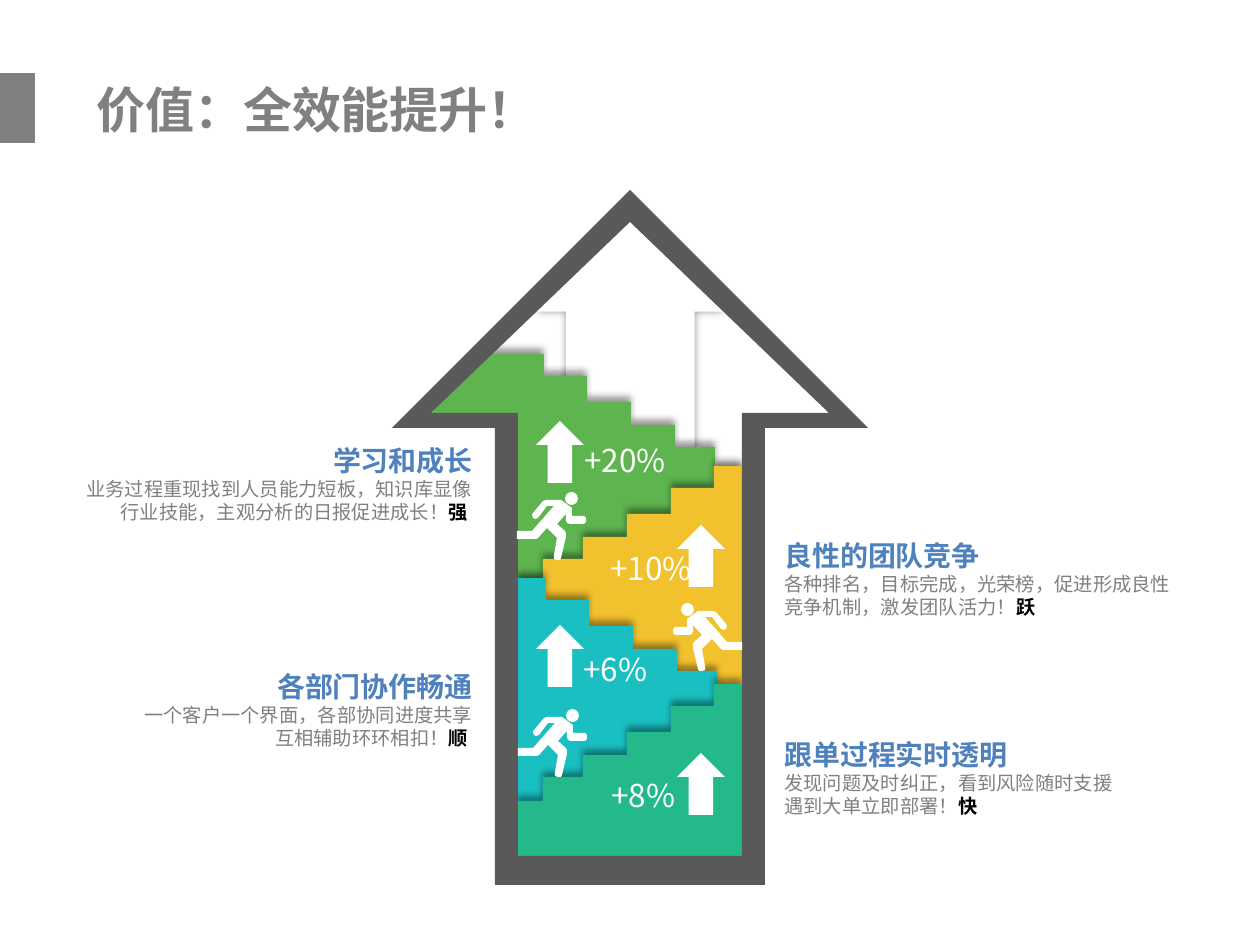
import dataclasses
import typing

import lxml.etree
import pptx
import pptx.dml.color
import pptx.enum.shapes
import pptx.enum.text
import pptx.oxml
import pptx.oxml.ns
import pptx.util

PIXEL = 914400 / 126
SHAPE = pptx.enum.shapes.MSO_SHAPE
ALIGN = pptx.enum.text.PP_ALIGN
ANCHOR = pptx.enum.text.MSO_ANCHOR
Points = list[tuple[int, int]]


@dataclasses.dataclass(frozen=True)
class Theme:
    """Colours, font and type sizes of the slide."""
    font: str = "Noto Sans CJK SC"
    grey: str = "808080"
    frame: str = "595959"
    white: str = "FFFFFF"
    black: str = "000000"
    heading: str = "4F81BD"
    green: str = "5EB44F"
    yellow: str = "F2C12E"
    cyan: str = "1ABFC1"
    teal: str = "23B98B"
    title_size: int = 28
    heading_size: int = 16
    body_size: int = 11
    figure_size: int = 18


THEME = Theme()


class Stair(typing.NamedTuple):
    """A coloured flight of steps."""
    left: int
    top: int
    bottom: int
    colour: str
    rising: bool
    wing: Points


class Runner(typing.NamedTuple):
    """A running figure, placed by the top left of its body."""
    left: int
    top: int
    mirrored: bool


class Gain(typing.NamedTuple):
    """A small up arrow and its percentage."""
    arrow_left: int
    arrow_top: int
    text_left: int
    text_top: int
    text_width: int
    text: str


class Callout(typing.NamedTuple):
    """A heading with body lines and a closing keyword."""
    left: int
    top: int
    align: ALIGN
    heading: str
    lines: list[str]
    keyword: str


STEP_EDGES = [28, 71, 115, 159, 199, 224]
STEP_DROPS = [0, 22, 48, 71, 93, 117]
STAIR_WIDTH = 224
STAIRS = [
    Stair(516, 354, 585, THEME.green, False, [(516, 413), (431, 413), (493, 354)]),
    Stair(518, 466, 697, THEME.yellow, True, []),
    Stair(518, 578, 809, THEME.cyan, False, []),
    Stair(518, 684, 856, THEME.teal, True, []),
]

CENTRE = 630
INNER_HALF = [(630, 222), (431, 413), (518, 413), (518, 856)]
OUTER_HALF = [(630, 190), (392, 428), (495, 428), (495, 885)]

RUNNER_WIDTH = 69
HEAD_LEFT, HEAD_TOP, HEAD_SIZE = 48, -8, 13
RUNNER_BODY = [
    (0, 31), (15, 31), (37, 6), (30, 6), (21, 18), (18, 19), (16, 18), (15, 15), (16, 13),
    (26, 1), (29, 0), (44, 0), (55, 8), (55, 16), (67, 16), (69, 18), (69, 22), (67, 24),
    (53, 24), (50, 23), (49, 20), (49, 14), (40, 24), (48, 31), (49, 33), (49, 37),
    (44, 58), (43, 60), (40, 60), (37, 59), (37, 55), (40, 38), (30, 28), (21, 38),
    (19, 39), (0, 39),
]
RUNNERS = [Runner(518, 717, False), Runner(517, 500, False), Runner(673, 611, True)]

GAINS = [
    Gain(536, 421, 572, 435, 115, "+20%"),
    Gain(677, 525, 598, 543, 115, "+10%"),
    Gain(536, 625, 571, 644, 96, "+6%"),
    Gain(677, 753, 599, 770, 96, "+8%"),
]
CALLOUTS = [
    Callout(73, 437, ALIGN.RIGHT, "学习和成长",
            ["业务过程重现找到人员能力短板，知识库显像行业技能，主观分析的日报促进成长！"], "强 "),
    Callout(772, 532, ALIGN.LEFT, "良性的团队竞争",
            ["各种排名，目标完成，光荣榜，促进形成良性竞争机制，激发团队活力！"], "跃 "),
    Callout(73, 663, ALIGN.RIGHT, "各部门协作畅通",
            ["一个客户一个界面，各部协同进度共享", "互相辅助环环相扣！"], "顺 "),
    Callout(772, 731, ALIGN.LEFT, "跟单过程实时透明",
            ["发现问题及时纠正，看到风险随时支援", "遇到大单立即部署！"], "快"),
]


def px(length: float) -> int:
    """Turn pixels into EMU."""
    return round(length * PIXEL)


def rgb(colour: str) -> pptx.dml.color.RGBColor:
    """Turn a hex string into a colour."""
    return pptx.dml.color.RGBColor.from_string(colour)


def paint(shape, colour: str) -> None:
    """Give a shape a plain fill, no line and no shadow."""
    shape.fill.solid()
    shape.fill.fore_color.rgb = rgb(colour)
    shape.line.fill.background()
    shape.shadow.inherit = False


def add_shadow(shape, blur: int, distance: int, degrees: int) -> None:
    """Put a soft black outer shadow on a painted shape."""
    effects = shape._element.spPr.find(pptx.oxml.ns.qn("a:effectLst"))
    effects.append(pptx.oxml.parse_xml(
        f'<a:outerShdw {pptx.oxml.ns.nsdecls("a")} blurRad="{blur * 12700}" '
        f'dist="{distance * 12700}" dir="{degrees * 60000}" algn="ctr" rotWithShape="0">'
        f'<a:srgbClr val="{THEME.black}"><a:alpha val="40000"/></a:srgbClr></a:outerShdw>'))


def add_preset(shapes, kind: SHAPE, box: tuple[int, int, int, int], colour: str):
    """Add a painted preset shape."""
    shape = shapes.add_shape(kind, *map(px, box))
    paint(shape, colour)
    return shape


def add_outline(shapes, contours: list[Points], colour: str):
    """Add a painted freeform made of closed contours."""
    builder = shapes.build_freeform(*contours[0][0], scale=PIXEL)
    for index, contour in enumerate(contours):
        if index:
            builder.move_to(*contour[0])
        builder.add_line_segments(contour[1:], close=True)
    shape = builder.convert_to_shape()
    paint(shape, colour)
    return shape


def set_font(font, size: int, colour: str | None, bold: bool = False) -> None:
    """Set the theme font, for Latin and East Asian text alike."""
    font.name, font.size, font.bold = THEME.font, pptx.util.Pt(size), bold
    if colour:
        font.color.rgb = rgb(colour)
    east = lxml.etree.SubElement(font._element, pptx.oxml.ns.qn("a:ea"))
    east.set("typeface", THEME.font)


def add_text(shapes, box: tuple[int, int, int, int], wrap: bool = True):
    """Add an empty text box and return its frame."""
    frame = shapes.add_textbox(*map(px, box)).text_frame
    frame.word_wrap = wrap
    return frame


def add_line(frame, text: str, size: int, colour: str, bold: bool = False) -> None:
    """Write a single-style first paragraph."""
    para = frame.paragraphs[0]
    para.add_run().text = text
    set_font(para.font, size, colour, bold)


def draw_stair(shapes, stair: Stair) -> None:
    """Draw one flight, going down to the right or mirrored."""
    points: Points = []
    x = 0
    for edge, drop in zip(STEP_EDGES, STEP_DROPS):
        points += [(x, drop), (edge, drop)]
        x = edge
    height = stair.bottom - stair.top
    points += [(STAIR_WIDTH, height), (0, height)]
    if stair.rising:
        points = [(STAIR_WIDTH - x, y) for x, y in points]
    outline = [(stair.left + x, stair.top + y) for x, y in points] + stair.wing
    add_shadow(add_outline(shapes, [outline], stair.colour), 4, 3, 270)


def mirror_half(half: Points) -> Points:
    """Complete a left half outline with its mirrored right half."""
    return half + [(2 * CENTRE - x, y) for x, y in reversed(half[1:])]


def draw_runner(shapes, runner: Runner) -> None:
    """Draw a head and body as one group."""
    group = shapes.add_group_shape().shapes
    body, head = RUNNER_BODY, HEAD_LEFT
    if runner.mirrored:
        body = [(RUNNER_WIDTH - x, y) for x, y in body]
        head = RUNNER_WIDTH - HEAD_LEFT - HEAD_SIZE
    add_preset(group, SHAPE.OVAL, (runner.left + head, runner.top + HEAD_TOP,
                                   HEAD_SIZE, HEAD_SIZE), THEME.white)
    add_outline(group, [[(runner.left + x, runner.top + y) for x, y in body]], THEME.white)


def draw_gain(shapes, gain: Gain) -> None:
    """Draw an up arrow and its percentage."""
    arrow = add_preset(shapes, SHAPE.UP_ARROW, (gain.arrow_left, gain.arrow_top, 48, 62), THEME.white)
    arrow.adjustments[0] = 0.51
    frame = add_text(shapes, (gain.text_left, gain.text_top, gain.text_width, 50), wrap=False)
    add_line(frame, gain.text, THEME.figure_size, THEME.white)


def draw_callout(shapes, callout: Callout) -> None:
    """Write a heading, its body and the keyword."""
    frame = add_text(shapes, (callout.left, callout.top, 412, 93))
    frame.vertical_anchor = ANCHOR.MIDDLE
    add_line(frame, callout.heading, THEME.heading_size, THEME.heading, True)
    for line in callout.lines:
        para = frame.add_paragraph()
        set_font(para.font, THEME.body_size, None)
        span = para.add_run()
        span.text = line
        span.font.color.rgb = rgb(THEME.grey)
    keyword = para.add_run()
    keyword.text = callout.keyword
    keyword.font.bold = True
    keyword.font.color.rgb = rgb(THEME.black)
    for para in frame.paragraphs:
        para.alignment = callout.align


def main() -> None:
    """Build and save the slide."""
    deck = pptx.Presentation()
    deck.slide_width, deck.slide_height = px(1260), px(945)
    shapes = deck.slides.add_slide(deck.slide_layouts[6]).shapes
    backdrop = add_preset(shapes, SHAPE.UP_ARROW, (536, 219, 189, 247), THEME.white)
    backdrop.adjustments[0], backdrop.adjustments[1] = 0.68, 0.49
    add_shadow(backdrop, 5, 0, 0)
    add_line(add_text(shapes, (84, 73, 559, 72)), "价值：全效能提升！",
             THEME.title_size, THEME.grey, True)
    add_preset(shapes, SHAPE.RECTANGLE, (0, 73, 35, 70), THEME.grey)
    for stair in STAIRS:
        draw_stair(shapes, stair)
    add_outline(shapes, [mirror_half(INNER_HALF), mirror_half(OUTER_HALF)[::-1]], THEME.frame)
    for runner in RUNNERS:
        draw_runner(shapes, runner)
    for callout in CALLOUTS:
        draw_callout(shapes, callout)
    for gain in GAINS:
        draw_gain(shapes, gain)
    deck.save("out.pptx")


main()
